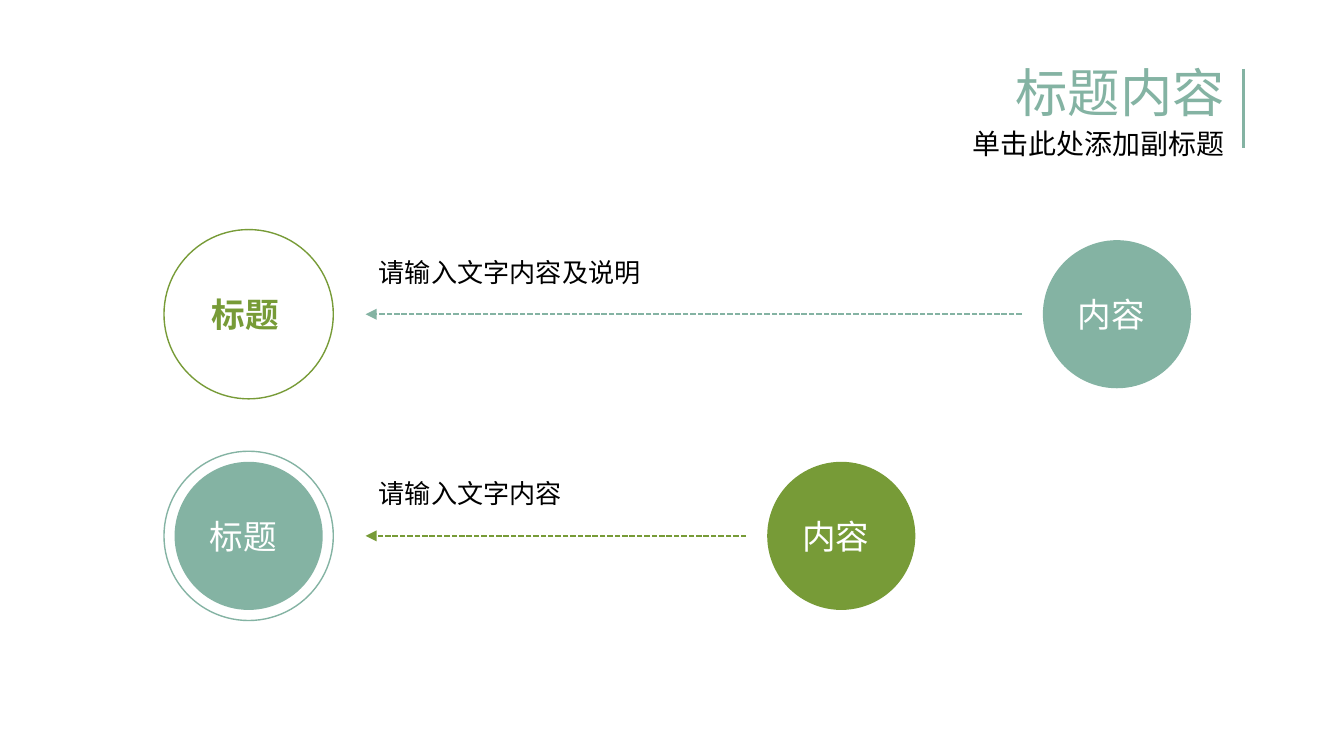
from lxml import etree
from pptx import Presentation
from pptx.dml.color import RGBColor
from pptx.enum import dml, shapes, text
from pptx.oxml import ns
from pptx.util import Cm, Pt

TEAL = RGBColor(0x84, 0xB3, 0xA3)
GREEN = RGBColor(0x77, 0x9B, 0x37)
WHITE = RGBColor(0xFF, 0xFF, 0xFF)
BLACK = RGBColor(0, 0, 0)
FONT = "Noto Sans CJK SC"

# Content: heading lines as (text, top, height, size, colour)
HEADING = [
    ("标题内容", 1.14, 1.27, 28, TEAL),
    ("单击此处添加副标题", 2.34, 1.02, 15, BLACK),
]
ROWS = [
    dict(title="标题", content="内容", caption="请输入文字内容及说明",
         ring=GREEN, title_fill=None, arrow=TEAL, content_fill=TEAL,
         content_x=21.11, caption_width=14.4),
    dict(title="标题", content="内容", caption="请输入文字内容",
         ring=TEAL, title_fill=TEAL, arrow=GREEN, content_fill=GREEN,
         content_x=15.9, caption_width=8),
]

# Layout in centimetres
RING, DISC = 3.2, 2.8
TITLE_X, ARROW_X = 4.7, 6.91
FIRST_ROW, ROW_STEP = 5.94, 4.19
GAP = 0.4

deck = Presentation()
deck.slide_width, deck.slide_height = Cm(25.4), Cm(14.29)
page = deck.slides.add_slide(deck.slide_layouts[6])


def write(frame, words, size, color, bold=False):
    para = frame.paragraphs[0]
    para.alignment = text.PP_ALIGN.LEFT
    span = para.add_run()
    span.text = words
    span.font.size, span.font.bold = Pt(size), bold
    span.font.name = FONT
    span.font.color.rgb = color
    east_asian = etree.SubElement(span.font._element, ns.qn("a:ea"))
    east_asian.set("typeface", FONT)
    return para


def add_text(words, left, top, width, height, size, color):
    box = page.shapes.add_textbox(Cm(left), Cm(top), Cm(width), Cm(height))
    return box.text_frame, write(box.text_frame, words, size, color)


def add_circle(x, y, size, fill=None, line=None):
    circle = page.shapes.add_shape(
        shapes.MSO_SHAPE.OVAL, Cm(x - size / 2), Cm(y - size / 2), Cm(size), Cm(size))
    circle.shadow.inherit = False
    if fill is None:
        circle.fill.background()
    else:
        circle.fill.solid()
        circle.fill.fore_color.rgb = fill
    if line is None:
        circle.line.fill.background()
    else:
        circle.line.color.rgb = line
        circle.line.width = Pt(0.75)
    return circle


def label(circle, words, color, bold=False):
    frame = circle.text_frame
    frame.word_wrap = False
    frame.vertical_anchor = text.MSO_ANCHOR.MIDDLE
    write(frame, words, 18, color, bold)
    return frame


def add_line(x1, y1, x2, y2, color, width):
    line = page.shapes.add_connector(
        shapes.MSO_CONNECTOR.STRAIGHT, Cm(x1), Cm(y1), Cm(x2), Cm(y2))
    line.line.color.rgb = color
    line.line.width = Pt(width)
    etree.SubElement(line._element.spPr, ns.qn("a:effectLst"))
    return line


# Heading with its side rule
for words, top, height, size, color in HEADING:
    frame, para = add_text(words, 13.69, top, 9.7, height, size, color)
    frame.word_wrap = True
    para.alignment = text.PP_ALIGN.RIGHT
    para.line_spacing = 0.9
add_line(23.5, 1.3, 23.5, 2.8, TEAL, 1.5)

# Rows: title circle, caption over an arrow, content circle
for index, row in enumerate(ROWS):
    y = FIRST_ROW + index * ROW_STEP

    ring = add_circle(TITLE_X, y, RING, line=row["ring"])
    if row["title_fill"] is None:
        frame = label(ring, row["title"], row["ring"], bold=True)
        frame.margin_left = Cm(0.43)
    else:
        label(add_circle(TITLE_X, y, DISC, row["title_fill"]), row["title"], WHITE)

    label(add_circle(row["content_x"], y, DISC, row["content_fill"]), row["content"], WHITE)

    arrow = add_line(row["content_x"] - DISC / 2 - GAP, y, ARROW_X, y, row["arrow"], 1)
    arrow.line.dash_style = dml.MSO_LINE.SQUARE_DOT
    tail = etree.SubElement(arrow.line._get_or_add_ln(), ns.qn("a:tailEnd"))
    tail.set("type", "triangle")

    frame, para = add_text(row["caption"], ARROW_X, y - DISC / 2,
                           row["caption_width"], 1.19, 14, BLACK)
    frame.word_wrap = False
    frame.vertical_anchor = text.MSO_ANCHOR.MIDDLE

deck.save("out.pptx")
